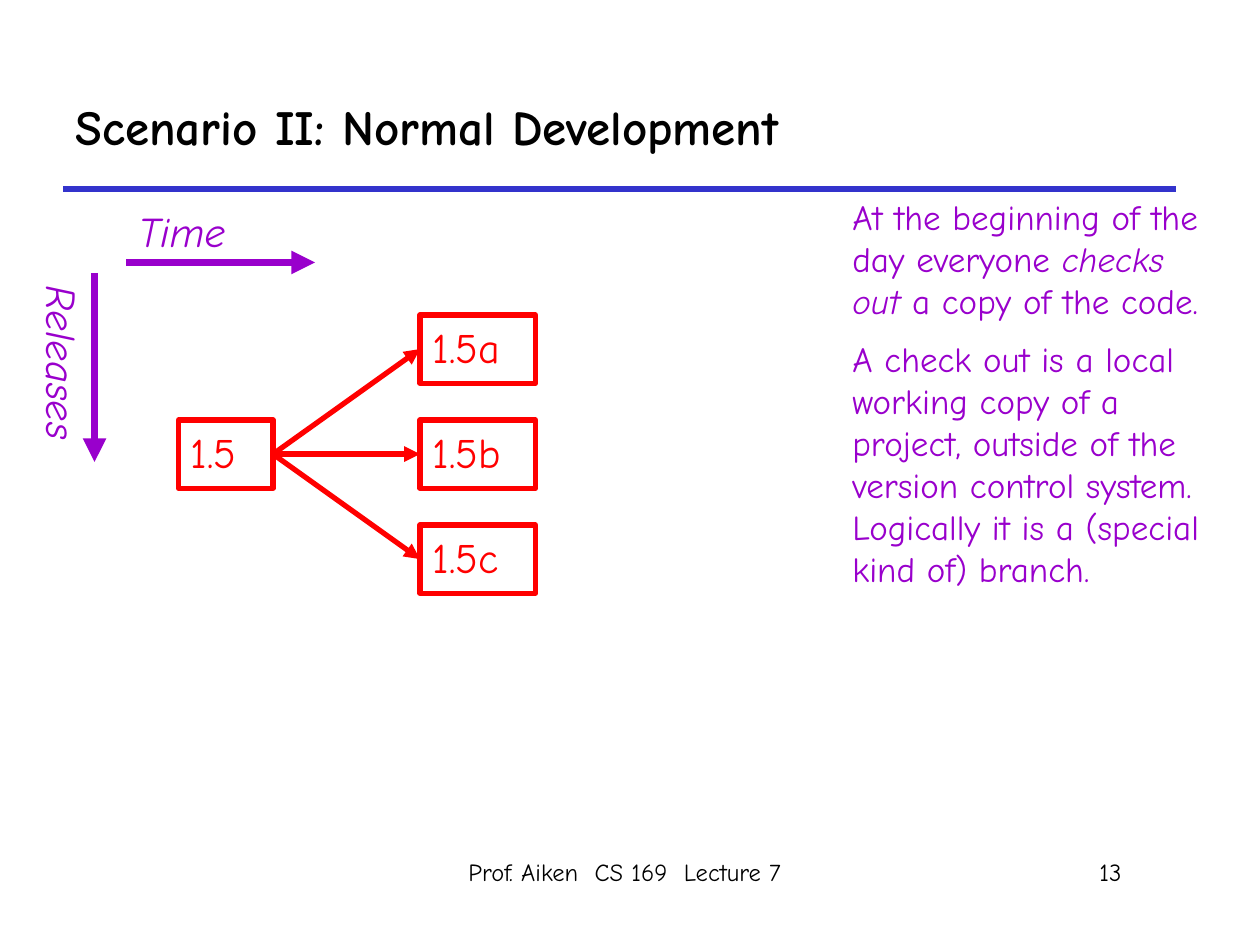
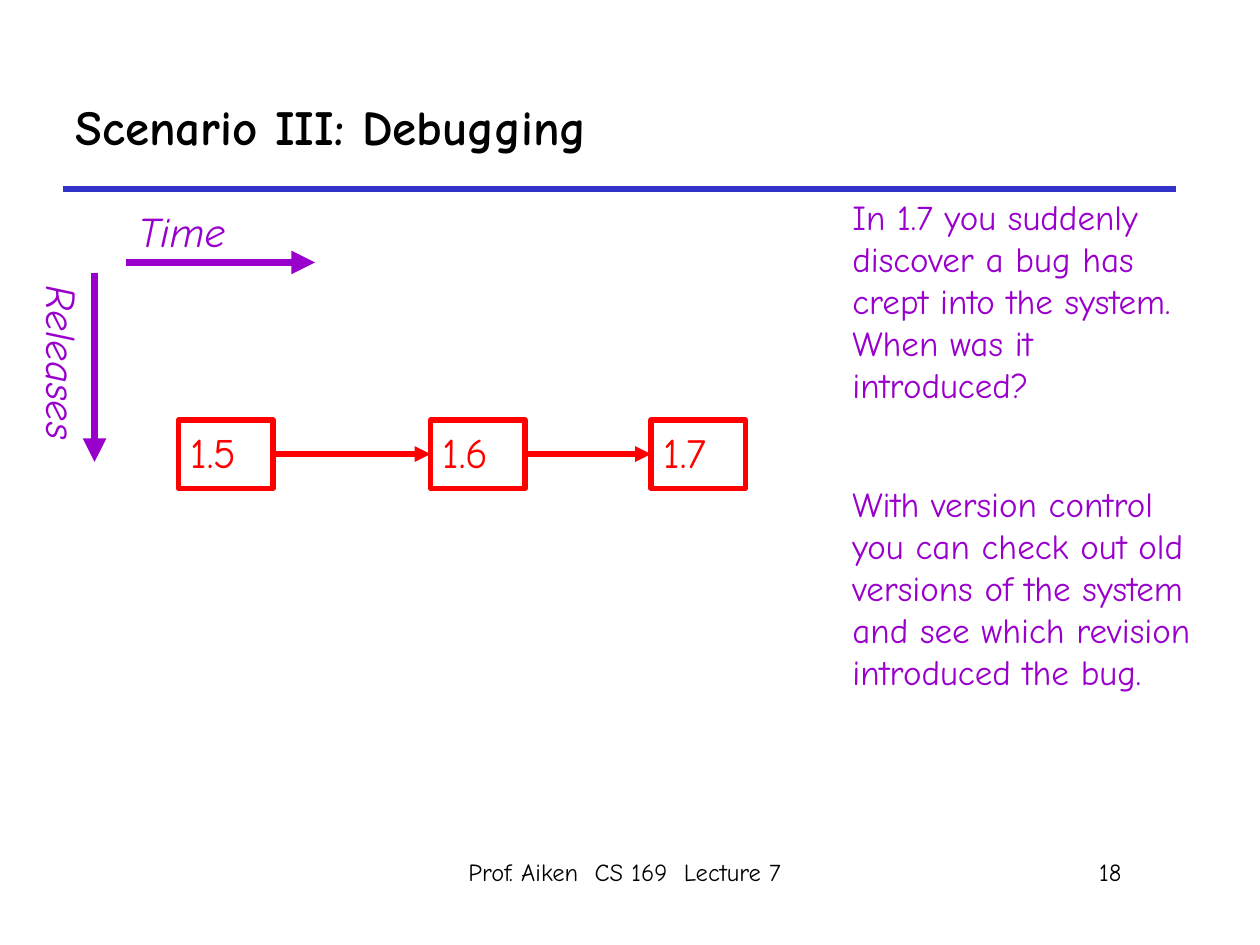
from dataclasses import dataclass

from lxml import etree
from pptx import Presentation
from pptx.dml.color import RGBColor
from pptx.enum.shapes import MSO_CONNECTOR, MSO_SHAPE
from pptx.enum.text import MSO_ANCHOR, MSO_AUTO_SIZE, PP_ALIGN
from pptx.oxml.ns import qn
from pptx.util import Pt

STRAIGHT = MSO_CONNECTOR.STRAIGHT
RECTANGLE = MSO_SHAPE.RECTANGLE
TOP, MIDDLE = MSO_ANCHOR.TOP, MSO_ANCHOR.MIDDLE
LEFT, CENTER, RIGHT = PP_ALIGN.LEFT, PP_ALIGN.CENTER, PP_ALIGN.RIGHT
NO_AUTOFIT = MSO_AUTO_SIZE.NONE
TITLE_ONLY = 5
LEFT_SIDE, RIGHT_SIDE = 1, 3


@dataclass(frozen=True)
class Theme:
    font: str = "Comic Neue"
    ink: RGBColor = RGBColor(0x00, 0x00, 0x00)
    rule: RGBColor = RGBColor(0x33, 0x33, 0xCC)
    release: RGBColor = RGBColor(0xFF, 0x00, 0x00)
    note: RGBColor = RGBColor(0x99, 0x00, 0xCC)
    title_size: float = 28
    label_size: float = 24
    note_size: float = 20
    footer_size: float = 14
    line_width: float = 3
    axis_width: float = 4.5


@dataclass(frozen=True)
class Area:
    left: float
    top: float
    width: float
    height: float

    def lengths(self) -> tuple:
        return Pt(self.left), Pt(self.top), Pt(self.width), Pt(self.height)


@dataclass(frozen=True)
class Style:
    size: float
    color: RGBColor
    bold: bool = False
    italic: bool = False
    align: PP_ALIGN = LEFT
    anchor: MSO_ANCHOR = TOP


@dataclass(frozen=True)
class Span:
    text: str
    italic: bool = False


@dataclass(frozen=True)
class Axis:
    name: str
    area: Area
    rotation: float
    start: tuple[float, float]
    end: tuple[float, float]


@dataclass(frozen=True)
class Release:
    name: str
    left: float
    row: int = 1
    width: float = 54


@dataclass(frozen=True)
class Scenario:
    title: str
    number: str
    releases: list[Release]
    arrows: list[tuple[str, str]]
    notes: list[list[Span]]
    note_gap: float


THEME = Theme()
TITLE = Style(THEME.title_size, THEME.ink, bold=True, anchor=MIDDLE)
AXIS_LABEL = Style(THEME.label_size, THEME.note, italic=True)
RELEASE_LABEL = Style(THEME.label_size, THEME.release)
NOTE = Style(THEME.note_size, THEME.note)
FOOTER = Style(THEME.footer_size, THEME.ink, align=CENTER)
NUMBER = Style(THEME.footer_size, THEME.ink, align=RIGHT)

TITLE_AREA = Area(36, 36, 636, 72)
NOTE_AREA = Area(480, 108, 222, 300)
FOOTER_AREA = Area(222, 486, 270, 36)
NUMBER_AREA = Area(498, 486, 150, 36)
RULE_START, RULE_END = (36, 108), (672, 108)
FIRST_ROW, ROW_STEP, RELEASE_HEIGHT = 180, 60, 39
FOOTER_TEXT = "Prof. Aiken  CS 169  Lecture 7"

AXES = [
    Axis("Time", Area(72, 114, 108, 36), 0, (72, 150), (180, 150)),
    Axis("Releases", Area(-24, 198, 120, 36), 90, (54, 156), (54, 264)),
]

SCENARIOS = [
    Scenario(
        title="Scenario II: Normal Development",
        number="13",
        releases=[Release("1.5", 102)]
        + [Release(f"1.5{letter}", 240, row, 66) for row, letter in enumerate("abc")],
        arrows=[("1.5", f"1.5{letter}") for letter in "bac"],
        notes=[
            [
                Span("At the beginning of the day everyone "),
                Span("checks out", italic=True),
                Span(" a copy of the code."),
            ],
            [
                Span(
                    "A check out is a local working copy of a project, outside of "
                    "the version control system.  Logically it is a (special kind of) branch."
                )
            ],
        ],
        note_gap=9.5,
    ),
    Scenario(
        title="Scenario III: Debugging",
        number="18",
        releases=[Release("1.5", 102), Release("1.6", 246), Release("1.7", 372)],
        arrows=[("1.5", "1.6"), ("1.6", "1.7")],
        notes=[
            [
                Span(
                    "In 1.7 you suddenly discover a bug has crept into the system.  "
                    "When was it introduced?"
                )
            ],
            [
                Span(
                    "With version control you can check out old versions of the system "
                    "and see which revision introduced the bug."
                )
            ],
        ],
        note_gap=44,
    ),
]


def write(shape, paragraphs: list[list[Span]], style: Style, gap: float = 0) -> None:
    frame = shape.text_frame
    frame.word_wrap = True
    frame.auto_size = NO_AUTOFIT
    frame.vertical_anchor = style.anchor
    for index, spans in enumerate(paragraphs):
        para = frame.add_paragraph() if index else frame.paragraphs[0]
        para.alignment = style.align
        para.space_before = Pt(gap if index else 0)
        for span in spans:
            run = para.add_run()
            run.text = span.text
            run.font.name = THEME.font
            run.font.size = Pt(style.size)
            run.font.bold = style.bold
            run.font.italic = style.italic or span.italic
            run.font.color.rgb = style.color


def add_text(page, area: Area, paragraphs: list[list[Span]], style: Style, gap: float = 0):
    box = page.shapes.add_textbox(*area.lengths())
    write(box, paragraphs, style, gap)
    return box


def add_line(page, start: tuple, end: tuple, color: RGBColor, width: float, arrow: bool = True):
    points = [Pt(value) for value in (*start, *end)]
    line = page.shapes.add_connector(STRAIGHT, *points)
    line.line.color.rgb = color
    line.line.width = Pt(width)
    if arrow:
        etree.SubElement(line.line._get_or_add_ln(), qn("a:tailEnd"), type="triangle")
    etree.SubElement(line._element.spPr, qn("a:effectLst"))
    return line


def add_release(page, release: Release):
    top = FIRST_ROW + release.row * ROW_STEP
    area = Area(release.left, top, release.width, RELEASE_HEIGHT)
    box = page.shapes.add_shape(RECTANGLE, *area.lengths())
    box.shadow.inherit = False
    box.fill.background()
    box.line.color.rgb = THEME.release
    box.line.width = Pt(THEME.line_width)
    write(box, [[Span(release.name)]], RELEASE_LABEL)
    return box


def join(page, source, target) -> None:
    arrow = add_line(page, (0, 0), (0, 0), THEME.release, THEME.line_width)
    arrow.begin_connect(source, RIGHT_SIDE)
    arrow.end_connect(target, LEFT_SIDE)


def add_frame(page, scenario: Scenario) -> None:
    add_line(page, RULE_START, RULE_END, THEME.rule, THEME.line_width, arrow=False)
    add_text(page, FOOTER_AREA, [[Span(FOOTER_TEXT)]], FOOTER)
    add_text(page, NUMBER_AREA, [[Span(scenario.number)]], NUMBER)
    title = page.shapes.title
    title.left, title.top, title.width, title.height = TITLE_AREA.lengths()
    write(title, [[Span(scenario.title)]], TITLE)


def add_axis(page, axis: Axis) -> None:
    add_line(page, axis.start, axis.end, THEME.note, THEME.axis_width)
    label = add_text(page, axis.area, [[Span(axis.name)]], AXIS_LABEL)
    label.rotation = axis.rotation


def add_scenario(deck, scenario: Scenario) -> None:
    page = deck.slides.add_slide(deck.slide_layouts[TITLE_ONLY])
    add_frame(page, scenario)
    for axis in AXES:
        add_axis(page, axis)
    add_text(page, NOTE_AREA, scenario.notes, NOTE, scenario.note_gap)
    boxes = {release.name: add_release(page, release) for release in scenario.releases}
    for source, target in scenario.arrows:
        join(page, boxes[source], boxes[target])


def main() -> None:
    deck = Presentation()
    deck.slide_width, deck.slide_height = Pt(720), Pt(540)
    for scenario in SCENARIOS:
        add_scenario(deck, scenario)
    deck.save("out.pptx")


if __name__ == "__main__":
    main()
